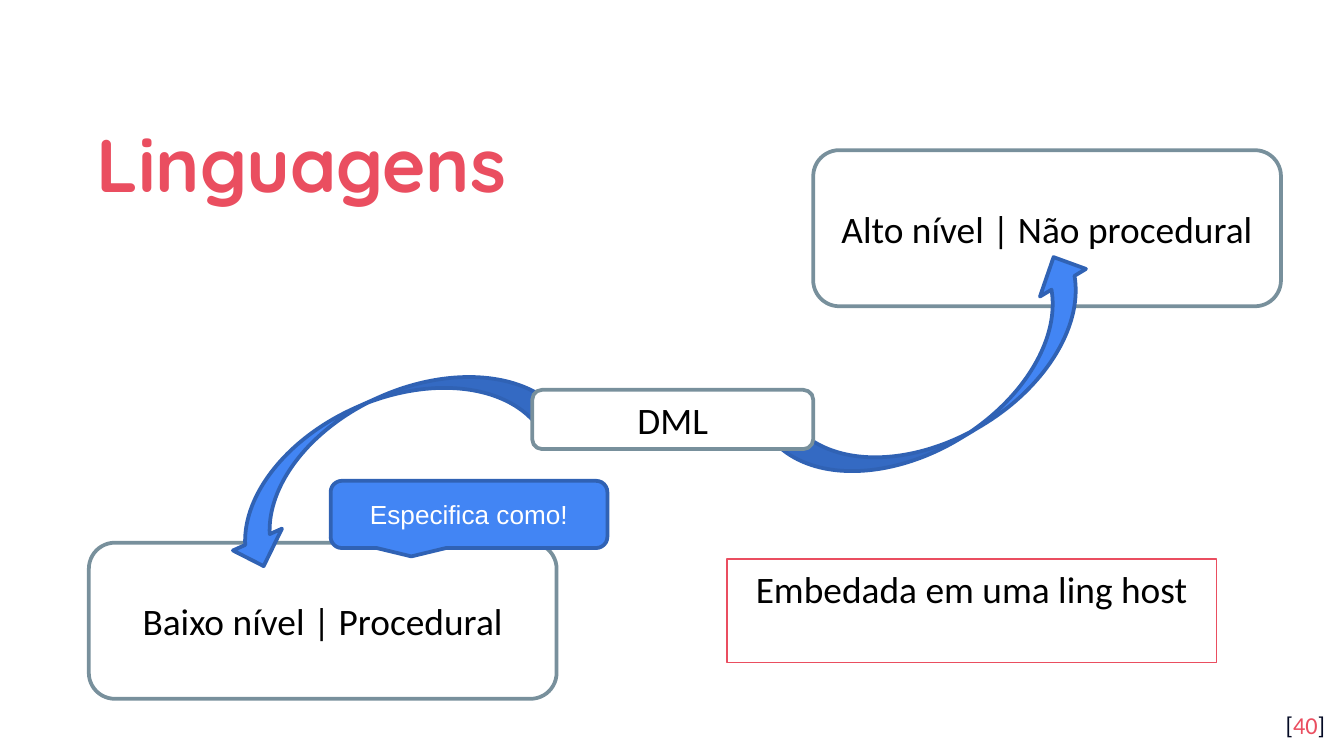
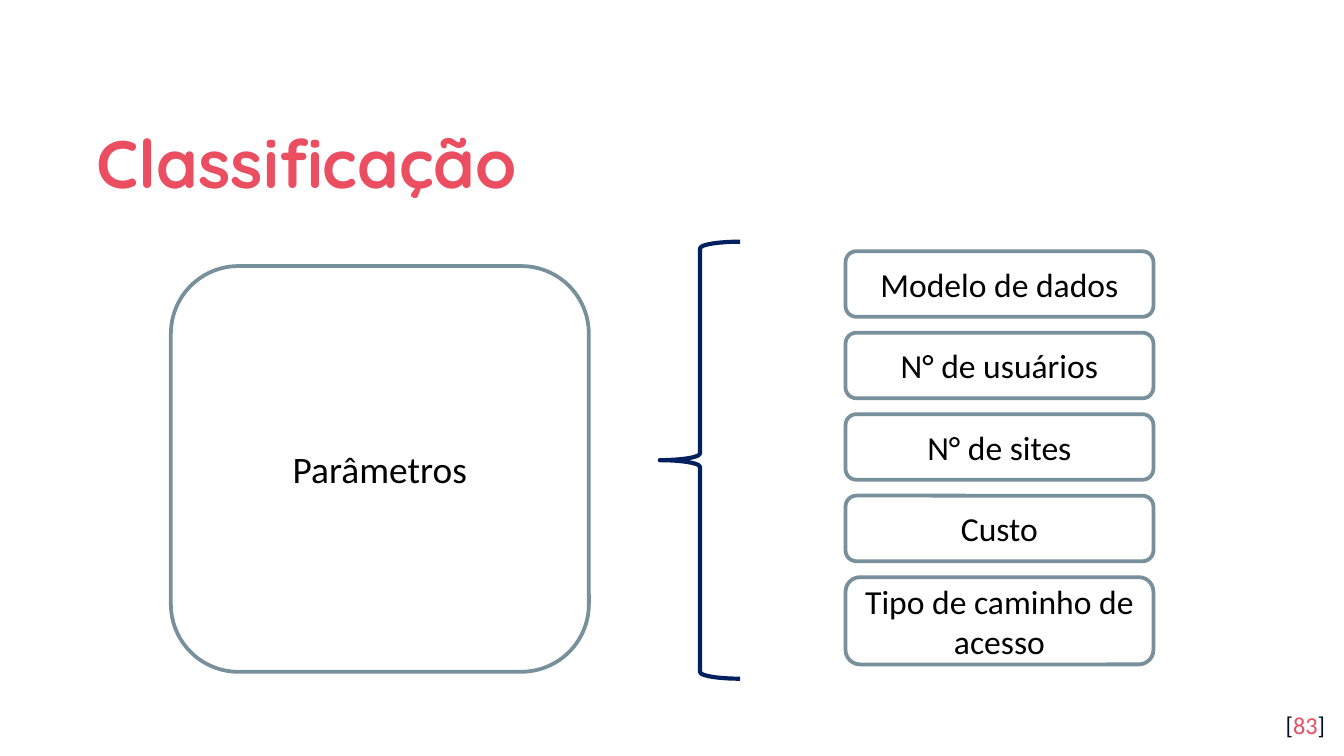
from pptx import Presentation
from pptx.dml.color import RGBColor
from pptx.enum.shapes import MSO_SHAPE
from pptx.enum.text import MSO_ANCHOR, PP_ALIGN
from pptx.util import Cm, Pt

ROUNDED = MSO_SHAPE.ROUNDED_RECTANGLE
RECTANGLE = MSO_SHAPE.RECTANGLE
CALLOUT = MSO_SHAPE.ROUNDED_RECTANGULAR_CALLOUT
CURVED_ARROW = MSO_SHAPE.CURVED_UP_ARROW
LEFT_BRACE = MSO_SHAPE.LEFT_BRACE
MIDDLE, TOP = MSO_ANCHOR.MIDDLE, MSO_ANCHOR.TOP
CENTER, LEFT, RIGHT = PP_ALIGN.CENTER, PP_ALIGN.LEFT, PP_ALIGN.RIGHT

WHITE = RGBColor(0xFF, 0xFF, 0xFF)
BLACK = RGBColor(0x00, 0x00, 0x00)
CORAL = RGBColor(0xEA, 0x4E, 0x60)
INK = RGBColor(0x04, 0x0A, 0x24)
SLATE = RGBColor(0x78, 0x90, 0x9C)
BLUE = RGBColor(0x42, 0x85, 0xF4)
DARK_BLUE = RGBColor(0x30, 0x62, 0xB4)
NAVY = RGBColor(0x00, 0x20, 0x60)


def write(shape, pieces, size, font_name="Calibri", align=CENTER, anchor=MIDDLE, bold=False):
    text_frame = shape.text_frame
    text_frame.word_wrap = True
    text_frame.vertical_anchor = anchor
    paragraph = text_frame.paragraphs[0]
    paragraph.alignment = align
    for text, color in pieces:
        run = paragraph.add_run()
        run.text = text
        run.font.name = font_name
        run.font.size = Pt(size)
        run.font.bold = bold
        run.font.color.rgb = color
    return paragraph


def draw(shapes, kind, box, fill=WHITE, line=SLATE, width=2):
    shape = shapes.add_shape(kind, *[Cm(length) for length in box])
    shape.shadow.inherit = False
    if fill is None:
        shape.fill.background()
    else:
        shape.fill.solid()
        shape.fill.fore_color.rgb = fill
    shape.line.color.rgb = line
    shape.line.width = Pt(width)
    return shape


presentation = Presentation()
presentation.slide_width = Cm(25.4)
presentation.slide_height = Cm(14.29)

slides = []
for title, title_size, number in [("Linguagens", 40, "40"), ("Classificação", 36, "83")]:
    slide = presentation.slides.add_slide(presentation.slide_layouts[6])
    number_box = slide.shapes.add_textbox(Cm(23.77), Cm(13.18), Cm(1.52), Cm(1.09))
    title_box = slide.shapes.add_textbox(Cm(1.57), Cm(1.78), Cm(22.28), Cm(2.34))
    for text_box in (number_box, title_box):
        text_box.text_frame.margin_top = text_box.text_frame.margin_bottom = Cm(0.25)
    write(number_box, [("[", INK), (number, CORAL), ("]", INK)], 13, align=RIGHT, anchor=TOP)
    paragraph = write(title_box, [(title, CORAL)], title_size, "Quicksand", LEFT, bold=True)
    paragraph.line_spacing = 1.15
    slides.append(slide)
languages, classification = slides

for text, box in [
    ("Alto nível | Não procedural", (15.37, 2.84, 8.84, 2.95)),
    ("Baixo nível | Procedural", (1.68, 10.26, 8.84, 2.95)),
]:
    write(draw(languages.shapes, ROUNDED, box), [(text, BLACK)], 20)

for box, rotation in [((14.5, 6.22, 6.86, 2.03), 329), ((3.81, 7.57, 6.86, 2.03), 156)]:
    arrow = draw(languages.shapes, CURVED_ARROW, box, BLUE, DARK_BLUE)
    arrow.rotation = rotation

dml = draw(languages.shapes, ROUNDED, (10.06, 7.37, 5.31, 1.12))
write(dml, [("DML", BLACK)], 20)

callout = draw(languages.shapes, CALLOUT, (6.25, 9.09, 5.23, 1.27), BLUE, DARK_BLUE)
write(callout, [("Especifica como!", WHITE)], 14, "Arial")

host = draw(languages.shapes, RECTANGLE, (13.74, 10.57, 9.25, 1.96), None, CORAL, 0)
write(host, [("Embedada em uma ling host", BLACK)], 20, anchor=TOP)

parameters = draw(classification.shapes, ROUNDED, (3.23, 5.03, 7.9, 7.67))
write(parameters, [("Parâmetros", BLACK)], 20)

criteria = ["Modelo de dados", "N° de usuários", "N° de sites", "Custo", "Tipo de caminho de acesso"]
criteria_group = classification.shapes.add_group_shape()
for row, text in enumerate(criteria):
    height = 1.65 if text == criteria[-1] else 1.24
    box = (15.98, 4.75 + 1.54 * row, 5.82, height)
    write(draw(criteria_group.shapes, ROUNDED, box), [(text, BLACK)], 18)

draw(classification.shapes, LEFT_BRACE, (12.47, 4.57, 1.52, 8.26), None, NAVY, 2.25)

presentation.save("out.pptx")
